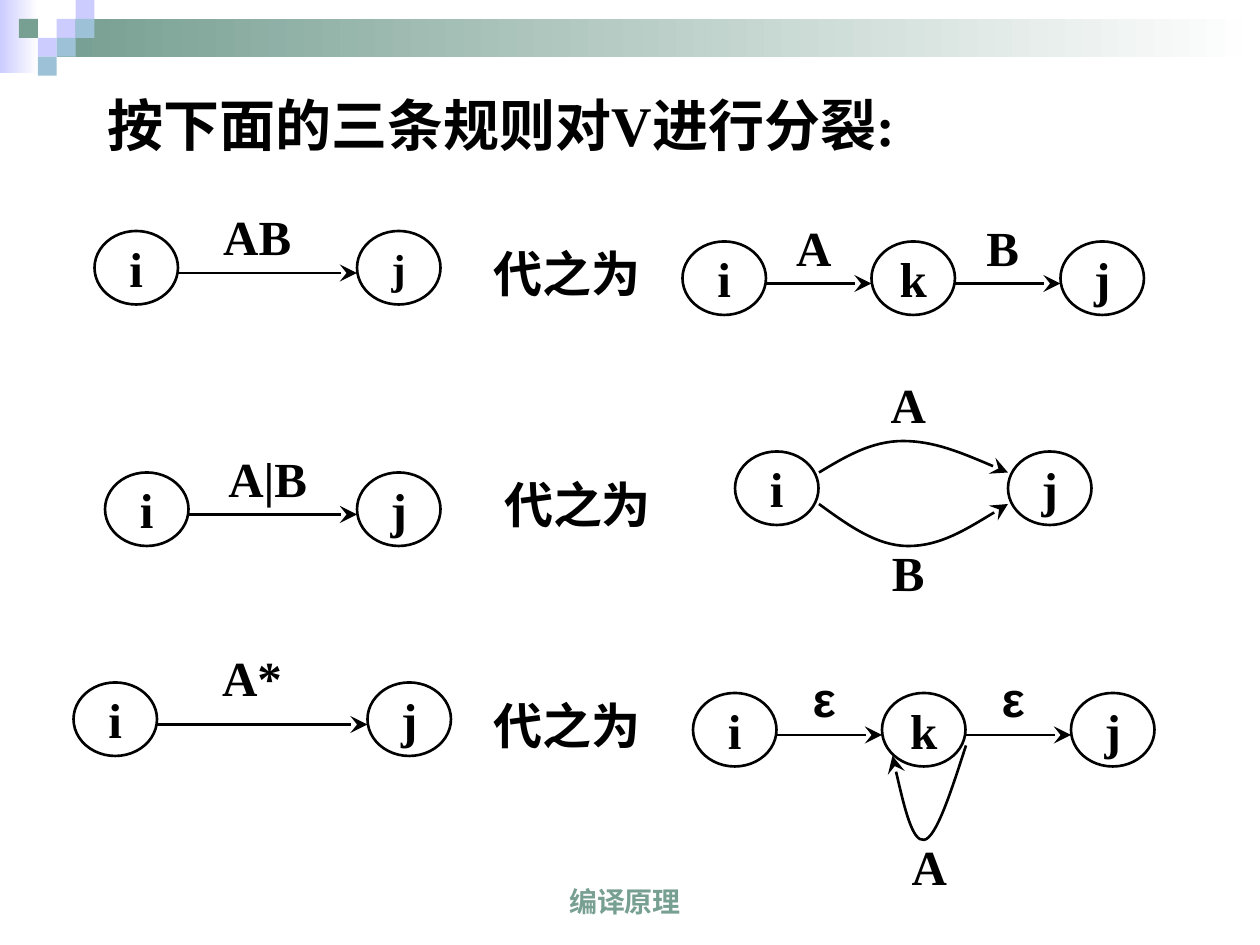
from dataclasses import dataclass
from lxml import etree
from pptx import Presentation
from pptx import util as u
from pptx.dml.color import RGBColor
from pptx.enum import shapes, text
from pptx.oxml.ns import qn

Pt = u.Pt


@dataclass(frozen=True)
class Theme:
    ink: str = "000000"
    green: str = "779F92"
    lilac: str = "CCCCFF"
    blue: str = "9DC2D7"
    white: str = "FFFFFF"
    serif: str = "Times New Roman"
    sans: str = "Arial"
    head: int = 32
    main: int = 28
    small: int = 24
    foot: int = 16
    line: float = 1.5


T = Theme()
TITLE = ("按下面的三条规则对V进行分裂:", (54, 48, 612, 54))
FOOTER = ("编译原理", (229.7, 492, 255, 36))
PHRASE = "代之为"
PHRASES = [(282, 132), (288, 264), (282, 390)]

CHAINS = [
    dict(nodes="ij", left=54, top=132, step=150, names=["AB"], shift=(60, -18),
         sizes={"j": T.small}),
    dict(nodes="ikj", left=390, top=138, step=108, names=["A", "B"]),
    dict(nodes="ij", left=60, top=270, step=144, names=["A|B"], shift=(60, -18)),
    dict(nodes="ij", left=420, top=258, step=156),
    dict(nodes="ij", left=42, top=390, step=168, names=["A*"], shift=(69, -24)),
    dict(nodes="ikj", left=396, top=396, step=108, names=["ε", "ε"], font=T.sans),
]

CURVES = [
    dict(name="A", spot=(486, 210),
         points=[(468, 270), (483, 261), (498, 252), (516, 252),
                 (534, 252), (555, 261), (576, 270)]),
    dict(name="B", spot=(486, 306),
         points=[(468, 288), (484.5, 300), (501, 312), (519, 312),
                 (537, 312), (556.5, 300), (576, 288)]),
    dict(name="A", spot=(498, 474),
         points=[(552, 426), (543.6, 452), (535, 479), (528, 480),
                 (521.3, 481), (515.5, 456.5), (510, 432)]),
]

BANDS = [((0, 0, 22, 42), T.lilac), ((32.4, 10.8, 687.6, 21.6), T.green)]
SIDE = 10.8
TILES = [(3, 1, T.lilac), (4, 0, T.lilac), (4, 1, T.blue), (2, 2, T.lilac),
         (1, 1, T.green), (3, 2, T.blue), (2, 3, T.blue)]

NODE = (47.7, 42)
LABEL = (66, 42)
WORDS = (84, 48)
SHIFT = (42, -18)
DROP = 24

deck = Presentation()
deck.slide_width, deck.slide_height = Pt(720), Pt(540)
slide = deck.slides.add_slide(deck.slide_layouts[5])
art = slide.shapes


def rgb(tone):
    return RGBColor.from_string(tone)


def write(shape, words, size=T.main, font=T.serif, tone=T.ink, wrap=False,
          align=text.PP_ALIGN.CENTER, anchor=text.MSO_ANCHOR.MIDDLE):
    frame = shape.text_frame
    frame.text = words
    frame.auto_size = text.MSO_AUTO_SIZE.NONE
    frame.word_wrap = wrap
    frame.vertical_anchor = anchor
    para = frame.paragraphs[0]
    para.alignment = align
    face = para.runs[0].font
    face.name, face.size, face.bold = font, Pt(size), True
    face.color.rgb = rgb(tone)


def label(words, box, **style):
    write(art.add_textbox(*map(Pt, box)), words, **style)


def block(box, kind=shapes.MSO_SHAPE.RECTANGLE):
    shape = art.add_shape(kind, *map(Pt, box))
    shape.shadow.inherit = False
    shape.line.fill.background()
    return shape


def stroke(shape):
    shape.line.color.rgb = rgb(T.ink)
    shape.line.width = Pt(T.line)


def arrow(shape):
    stroke(shape)
    line = shape._element.spPr.find(qn("a:ln"))
    etree.SubElement(line, qn("a:tailEnd"), type="stealth", w="lg", len="lg")


def node(words, x, y, size):
    shape = block((x, y, *NODE), shapes.MSO_SHAPE.OVAL)
    shape.fill.background()
    stroke(shape)
    write(shape, words, size)


def edge(start, end, y):
    wire = art.add_connector(shapes.MSO_CONNECTOR.STRAIGHT,
                             Pt(start), Pt(y), Pt(end), Pt(y))
    arrow(wire)
    etree.SubElement(wire._element.spPr, qn("a:effectLst"))


def chain(nodes, left, top, step, names=(), shift=SHIFT, font=T.serif, sizes={}):
    for i, words in enumerate(nodes):
        node(words, left + i * step, top, sizes.get(words, T.main))
    dx, dy = shift
    for i, name in enumerate(names):
        x = left + i * step
        edge(x + NODE[0], x + step, top + DROP)
        label(name, (x + dx, top + dy, *LABEL), font=font)


def bend(shape):
    steps = list(shape._element.iter(qn("a:lnTo")))
    track = steps[0].getparent()
    for i in range(0, len(steps), 3):
        cubic = etree.SubElement(track, qn("a:cubicBezTo"))
        for step in steps[i:i + 3]:
            cubic.append(step[0])
            track.remove(step)


def curve(name, spot, points):
    first, *rest = [(Pt(x), Pt(y)) for x, y in points]
    pen = art.build_freeform(*first)
    pen.add_line_segments(rest, close=False)
    shape = pen.convert_to_shape()
    shape.shadow.inherit = False
    shape.fill.background()
    arrow(shape)
    bend(shape)
    label(name, (*spot, *LABEL))


for box, tone in BANDS:
    fill = block(box).fill
    fill.gradient()
    fill.gradient_angle = 0
    for stop, hue, place in zip(fill.gradient_stops, (tone, T.white), (0, 1)):
        stop.color.rgb = rgb(hue)
        stop.position = place

for col, row, tone in TILES:
    fill = block((col * SIDE, row * SIDE, SIDE, SIDE)).fill
    fill.solid()
    fill.fore_color.rgb = rgb(tone)

words, box = TITLE
title = art.title
title.left, title.top, title.width, title.height = map(Pt, box)
write(title, words, T.head, wrap=True, align=text.PP_ALIGN.JUSTIFY,
      anchor=text.MSO_ANCHOR.TOP)

words, box = FOOTER
label(words, box, size=T.foot, font=T.sans, tone=T.green, wrap=True,
      anchor=text.MSO_ANCHOR.BOTTOM)

for spot in PHRASES:
    label(PHRASE, (*spot, *WORDS))

for item in CHAINS:
    chain(**item)

for item in CURVES:
    curve(**item)

deck.save("out.pptx")
